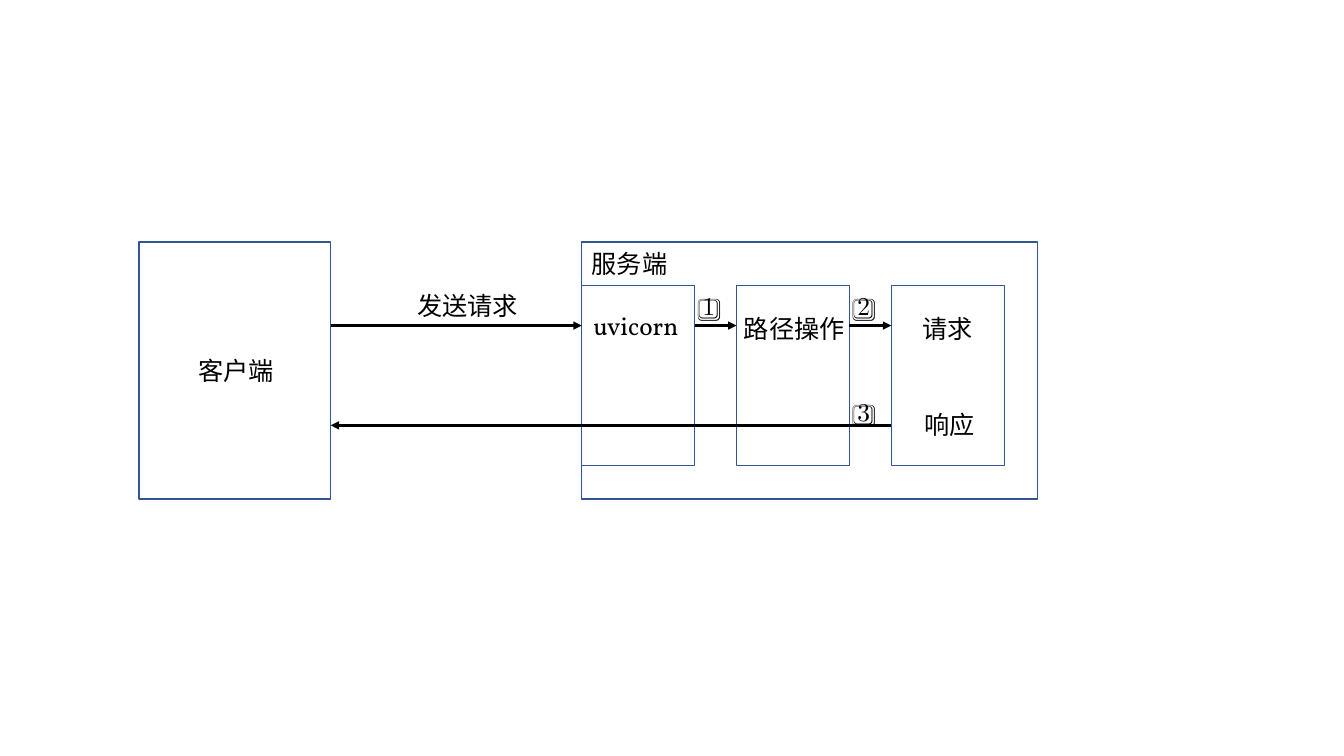
"""Build the request and response flow slide between client and server."""
from pptx import Presentation
from pptx import util as u
from pptx.dml.color import RGBColor
from pptx.enum import shapes, text
from pptx.oxml.ns import qn
from lxml import etree

BLACK = RGBColor(0x00, 0x00, 0x00)
BLUE = RGBColor(0x32, 0x54, 0x91)
BODY_FONT, STEP_FONT = "Vollkorn", "Noto Sans CJK SC"

SLIDE_WIDTH, SLIDE_HEIGHT = 13.33, 7.5
OUTER_TOP, OUTER_HEIGHT = 2.4, 2.55
CLIENT_LEFT, CLIENT_WIDTH = 1.38, 1.9
SERVER_LEFT, SERVER_WIDTH = 5.77, 4.52
STAGE_TOP, STAGE_WIDTH, STAGE_HEIGHT = 2.83, 1.12, 1.79
STAGE_PITCH = 1.535
REQUEST_Y, RESPONSE_Y = 3.23, 4.22
LABEL_HEIGHT = 0.4

CLIENT_RIGHT = CLIENT_LEFT + CLIENT_WIDTH
STAGES = [SERVER_LEFT + STAGE_PITCH * column for column in range(3)]
STAGE_ENDS = [left + STAGE_WIDTH for left in STAGES]

BOXES = [
    (CLIENT_LEFT, OUTER_TOP, CLIENT_WIDTH, OUTER_HEIGHT),
    (SERVER_LEFT, OUTER_TOP, SERVER_WIDTH, OUTER_HEIGHT),
] + [(left, STAGE_TOP, STAGE_WIDTH, STAGE_HEIGHT) for left in STAGES]

ARROWS = [
    (CLIENT_RIGHT, SERVER_LEFT, REQUEST_Y),
    (STAGE_ENDS[0], STAGES[1], REQUEST_Y),
    (STAGE_ENDS[1], STAGES[2], REQUEST_Y),
    (STAGES[2], CLIENT_RIGHT, RESPONSE_Y),
]

LABELS = [
    ("客户端", 1.87, 3.48, 0.96),
    ("服务端", SERVER_LEFT, 2.41, 0.96),
    ("发送请求", 4.04, STAGE_TOP, 1.21),
    ("uvicorn", 5.79, 3.03, 1.07),
    ("路径操作", 7.28, 3.06, 1.21),
    ("请求", 9.05, 3.06, 0.71),
    ("响应", 9.07, 4.01, 0.71),
]

STEP_WIDTH = 0.45
STEPS = [
    ("1️⃣", STAGE_ENDS[0] - 0.02, STAGE_TOP, STEP_WIDTH),
    ("2️⃣", STAGE_ENDS[1] - 0.02, STAGE_TOP, STEP_WIDTH),
    ("3️⃣", STAGE_ENDS[1] - 0.02, 3.88, STEP_WIDTH),
]


def add_box(slide, bounds):
    shape = slide.shapes.add_shape(
        shapes.MSO_SHAPE.RECTANGLE, *map(u.Inches, bounds))
    shape.shadow.inherit = False
    shape.fill.background()
    shape.line.color.rgb = BLUE
    shape.line.width = u.Pt(1)


def add_arrow(slide, start, end, y):
    connector = slide.shapes.add_connector(
        shapes.MSO_CONNECTOR.STRAIGHT, *map(u.Inches, (start, y, end, y)))
    connector.line.color.rgb = BLACK
    connector.line.width = u.Pt(2)
    properties = connector._element.spPr
    line = properties.find(qn("a:ln"))
    etree.SubElement(line, qn("a:tailEnd"), type="triangle")
    etree.SubElement(properties, qn("a:effectLst"))


def add_label(slide, words, left, top, width, font_name):
    label = slide.shapes.add_textbox(
        *map(u.Inches, (left, top, width, LABEL_HEIGHT)))
    frame = label.text_frame
    frame.word_wrap = False
    frame.auto_size = text.MSO_AUTO_SIZE.SHAPE_TO_FIT_TEXT
    run = frame.paragraphs[0].add_run()
    run.text = words
    for name, value in {"name": font_name, "size": u.Pt(18)}.items():
        setattr(run.font, name, value)
    run.font.color.rgb = BLACK


def main():
    presentation = Presentation()
    presentation.slide_width = u.Inches(SLIDE_WIDTH)
    presentation.slide_height = u.Inches(SLIDE_HEIGHT)
    slide = presentation.slides.add_slide(presentation.slide_layouts[6])
    for bounds in BOXES:
        add_box(slide, bounds)
    for arrow in ARROWS:
        add_arrow(slide, *arrow)
    for labels, font_name in ((LABELS, BODY_FONT), (STEPS, STEP_FONT)):
        for label in labels:
            add_label(slide, *label, font_name)
    presentation.save("out.pptx")


if __name__ == "__main__":
    main()
